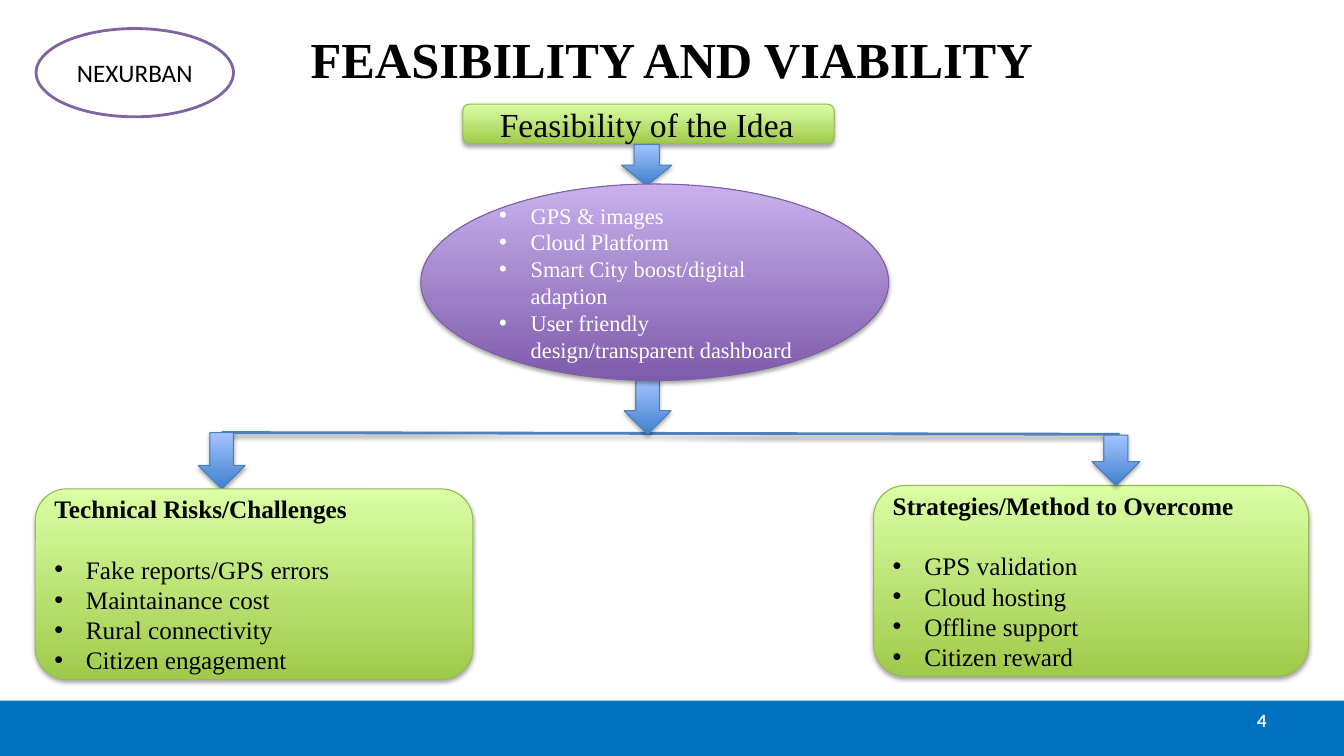
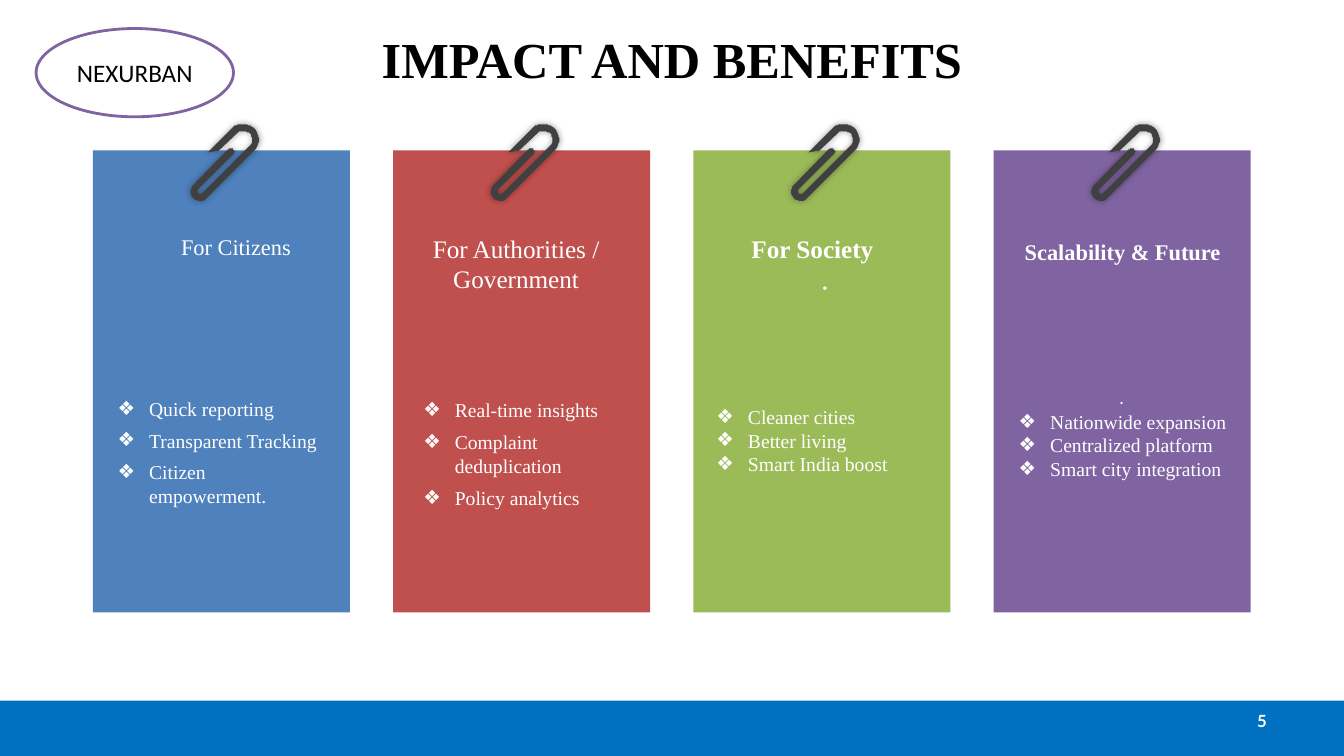
from dataclasses import dataclass

from lxml.etree import SubElement
from pptx import Presentation
from pptx.dml.color import RGBColor as RGB
from pptx.enum.shapes import MSO_CONNECTOR, MSO_SHAPE as SHAPE
from pptx.enum.text import MSO_ANCHOR as ANCHOR, PP_ALIGN as ALIGN
from pptx.oxml.ns import qn
from pptx.util import Inches, Pt

COLS, ROWS = 160, 90

BLACK = RGB(0x00, 0x00, 0x00)
WHITE = RGB(0xFF, 0xFF, 0xFF)
GRAY = RGB(0x80, 0x80, 0x80)
CLIP = RGB(0x40, 0x40, 0x40)
BAND = RGB(0x00, 0x70, 0xC0)
BLUE = RGB(0x4F, 0x81, 0xBD)
RED = RGB(0xC0, 0x50, 0x4D)
GREEN = RGB(0x9B, 0xBB, 0x59)
PURPLE = RGB(0x80, 0x64, 0xA2)

# Gradients run from bottom to top.
BLUE_GRADIENT = (RGB(0x3F, 0x80, 0xCE), RGB(0xA4, 0xC4, 0xFF))
GREEN_GRADIENT = (RGB(0xA0, 0xCA, 0x4A), RGB(0xDA, 0xFF, 0xA5))
PURPLE_GRADIENT = (RGB(0x7F, 0x5B, 0xAB), RGB(0xC8, 0xB0, 0xED))
BLUE_EDGE = RGB(0x4B, 0x7E, 0xBC)
GREEN_EDGE = RGB(0x98, 0xB9, 0x55)
PURPLE_EDGE = RGB(0x7D, 0x60, 0xA0)

# Shadows: colour, opacity in percent, blur, distance, direction.
SOFT = (BLACK, 35, 3.1, 1.8, 90)
LINE_SHADOW = (BLACK, 38, 3.1, 1.6, 90)
BAND_SHADOW = (GRAY, 35, 0, 1.8, 90)
GLOW = (BLACK, 40, 5, 0, 0)

# Paper clip outline in hundredths of an inch: a point, or a curve of three.
CLIP_START = (50, 0)
CLIP_OUTLINE = [
    [(52, 0), (54, 0), (56, 0)], [(59, 1), (62, 3), (64, 5)],
    [(65, 7), (67, 9), (67, 12)], [(69, 17), (67, 22), (63, 26)],
    [(16, 73)], [(14, 76), (11, 77), (8, 76)],
    [(4, 75), (2, 73), (0, 69)], [(0, 67), (0, 64), (2, 61)],
    [(37, 25)], [(38, 24), (39, 24), (40, 24)],
    [(41, 24), (42, 24), (42, 25)], [(44, 26), (44, 28), (42, 30)],
    [(7, 65)], [(7, 65), (7, 66), (7, 67)],
    [(7, 68), (8, 69), (9, 69)], [(10, 70), (11, 69), (11, 69)],
    [(58, 22)], [(61, 20), (62, 17), (61, 13)],
    [(60, 10), (58, 8), (55, 7)], [(51, 6), (48, 7), (46, 9)],
    [(26, 28)], [(28, 26)], [(17, 28)], [(42, 3)],
    [(44, 1), (47, 0), (50, 0)],
]


@dataclass
class Line:
    """One paragraph; spacing and indent in points."""
    text: str
    size: float
    color: RGB = BLACK
    bold: bool = False
    font: str = "Times New Roman"
    align: ALIGN = ALIGN.LEFT
    before: float = 0
    after: float = 0
    indent: float = 0
    bullet: str = ""


def bulleted(items, size, color, bullet="•", before=0):
    return [Line(item, size, color, bullet=bullet, before=before, indent=22.5)
            for item in items]


def set_all(obj, **values):
    for name, value in values.items():
        setattr(obj, name, value)


def add_shadow(effects, color, alpha, blur, distance, angle):
    shadow = SubElement(effects, qn("a:outerShdw"), blurRad=str(Pt(blur)),
                        dist=str(Pt(distance)), dir=str(angle * 60000),
                        rotWithShape="0")
    rgb = SubElement(shadow, qn("a:srgbClr"), val=str(color))
    SubElement(rgb, qn("a:alpha"), val=str(alpha * 1000))


def curve_points(start, controls, steps=6):
    """Points along a cubic curve, without its start."""
    knots = [start, *controls]
    for i in range(1, steps + 1):
        t = i / steps
        weights = ((1 - t) ** 3, 3 * t * (1 - t) ** 2,
                   3 * t * t * (1 - t), t ** 3)
        yield tuple(sum(w * k[axis] for w, k in zip(weights, knots))
                    for axis in (0, 1))


class Deck:
    def __init__(self):
        self.prs = Presentation()
        set_all(self.prs, slide_width=Inches(13.3333), slide_height=Inches(7.5))
        self.slide = None

    def x(self, cols):
        return round(self.prs.slide_width * cols / COLS)

    def y(self, rows):
        return round(self.prs.slide_height * rows / ROWS)

    def box(self, left, top, width, height):
        return self.x(left), self.y(top), self.x(width), self.y(height)

    def new_slide(self, title, number):
        self.slide = self.prs.slides.add_slide(self.prs.slide_layouts[5])
        self.shape(SHAPE.RECTANGLE, (0, 83.4, COLS, 6.6), BAND, shadow=BAND_SHADOW)
        sp = self.slide.shapes.title
        sp.left, sp.top, sp.width, sp.height = self.box(8, -0.6, 144, 15)
        self.put_lines(sp, [Line(title, 36, bold=True, align=ALIGN.CENTER)])
        self.text((114.7, 83.4, 37.3, 4.8),
                  [Line(str(number), 12, WHITE, True, "Lato", ALIGN.RIGHT)],
                  ANCHOR.MIDDLE)
        self.shape(SHAPE.OVAL, (4.3, 3.4, 23.5, 10.5), WHITE, PURPLE, 2,
                   lines=[Line("NEXURBAN", 18, font="Calibri", align=ALIGN.CENTER)])

    def put_lines(self, sp, lines, anchor=ANCHOR.MIDDLE, inset=None):
        tf = sp.text_frame
        set_all(tf, word_wrap=True, vertical_anchor=anchor)
        if inset is not None:
            set_all(tf, margin_left=inset, margin_right=inset,
                    margin_top=inset, margin_bottom=inset)
        for i, line in enumerate(lines):
            p = tf.add_paragraph() if i else tf.paragraphs[0]
            set_all(p, alignment=line.align, space_before=Pt(line.before),
                    space_after=Pt(line.after))
            if line.indent:
                pPr = p._p.get_or_add_pPr()
                pPr.set("marL", str(Pt(line.indent)))
                if line.bullet:
                    pPr.set("indent", str(-Pt(line.indent)))
                    SubElement(pPr, qn("a:buFont"), typeface="Arial")
                    SubElement(pPr, qn("a:buChar"), char=line.bullet)
            r = p.add_run()
            r.text = line.text
            set_all(r.font, name=line.font, size=Pt(line.size), bold=line.bold)
            r.font.color.rgb = line.color

    def paint(self, sp, fill, edge=None, edge_width=0.75, shadow=None):
        if isinstance(fill, tuple) and not isinstance(fill, RGB):
            sp.fill.gradient()
            sp.fill.gradient_angle = 90
            for stop, color in zip(sp.fill.gradient_stops, fill):
                stop.color.rgb = color
        else:
            sp.fill.solid()
            sp.fill.fore_color.rgb = fill
        if edge is None:
            sp.line.fill.background()
        else:
            sp.line.color.rgb = edge
            sp.line.width = Pt(edge_width)
        sp.shadow.inherit = False
        if shadow:
            add_shadow(sp.element.spPr.find(qn("a:effectLst")), *shadow)

    def shape(self, kind, at, fill, edge=None, edge_width=0.75, shadow=None,
              lines=()):
        sp = self.slide.shapes.add_shape(kind, *self.box(*at))
        self.paint(sp, fill, edge, edge_width, shadow)
        if lines:
            self.put_lines(sp, lines)

    def text(self, at, lines, anchor=ANCHOR.TOP, inset=None):
        sp = self.slide.shapes.add_textbox(*self.box(*at))
        self.put_lines(sp, lines, anchor, inset)

    def arrow(self, *at):
        self.shape(SHAPE.DOWN_ARROW, at, BLUE_GRADIENT, BLUE_EDGE, shadow=SOFT)

    def panel(self, at, lines):
        self.shape(SHAPE.ROUNDED_RECTANGLE, at, GREEN_GRADIENT, GREEN_EDGE,
                   shadow=SOFT, lines=lines)

    def rule(self, x1, y1, x2, y2):
        line = self.slide.shapes.add_connector(
            MSO_CONNECTOR.STRAIGHT, self.x(x1), self.y(y1), self.x(x2), self.y(y2))
        line.line.color.rgb = BLUE
        line.line.width = Pt(2)
        add_shadow(SubElement(line.element.spPr, qn("a:effectLst")), *LINE_SHADOW)

    def paper_clip(self, left, top):
        points, last = [], CLIP_START
        for part in CLIP_OUTLINE:
            points += part if len(part) == 1 else curve_points(last, part)
            last = part[-1]
        builder = self.slide.shapes.build_freeform(*CLIP_START, scale=Inches(0.01))
        builder.add_line_segments(points, close=True)
        sp = builder.convert_to_shape(self.x(left), self.y(top))
        self.paint(sp, CLIP, shadow=GLOW)

    def card(self, left, color):
        self.shape(SHAPE.RECTANGLE, (left, 17.9, 30.6, 55), color)
        self.paper_clip(left + 11.64, 14.8)


def feasibility(deck):
    deck.new_slide("FEASIBILITY AND VIABILITY", 4)
    deck.panel((55.1, 12.4, 44.2, 4.7),
               [Line("Feasibility of the Idea", 24, indent=18)])
    deck.arrow(74, 17.2, 6, 4.9)
    deck.rule(26.4, 51.5, 133.3, 51.7)
    deck.arrow(74.3, 45.2, 5.6, 6.5)
    deck.arrow(23.6, 51.5, 5.6, 6.7)
    deck.shape(SHAPE.FLOWCHART_CONNECTOR, (50.1, 21.9, 55.7, 23.4),
               PURPLE_GRADIENT, PURPLE_EDGE, shadow=SOFT,
               lines=bulleted(["GPS & images", "Cloud Platform",
                               "Smart City boost/digital adaption",
                               "User friendly design/transparent dashboard"],
                              16, WHITE))
    panels = [
        ((4.2, 58.2, 52.1, 22.7), "Technical Risks/Challenges",
         ["Fake reports/GPS errors", "Maintainance cost",
          "Rural connectivity", "Citizen engagement"]),
        ((104, 57.8, 51.8, 22.7), "Strategies/Method to Overcome",
         ["GPS validation", "Cloud hosting", "Offline support", "Citizen reward"]),
    ]
    for at, heading, items in panels:
        deck.panel(at, [Line(heading, 18, bold=True, after=21.6),
                        *bulleted(items, 18, BLACK)])
    deck.arrow(130, 51.8, 5.7, 6)


def impact(deck):
    deck.new_slide("IMPACT AND BENEFITS", 5)
    # Colour, text left and width, inset, heading, its format, list, its spacing.
    cards = [
        (BLUE, 14, 24.1, 0, "For Citizens", dict(size=16, indent=24.5, after=91.2),
         ["Quick reporting", "Transparent Tracking", "Citizen empowerment."], 6),
        (RED, 50.4, 22.1, 0, "For Authorities / Government",
         dict(size=18, after=68.4),
         ["Real-time insights", "Complaint deduplication", "Policy analytics"], 6),
        (GREEN, 85.3, 22.1, 0, "For Society",
         dict(size=18, bold=True, indent=4.5, after=100.8),
         ["Cleaner cities", "Better living", "Smart India boost"], 0),
        (PURPLE, 120.1, 27.1, None, "Scalability & Future",
         dict(size=16, bold=True, after=103.2),
         ["Nationwide expansion", "Centralized platform",
          "Smart city integration"], 0),
    ]
    for i, (color, left, width, inset, heading, style, items, gap) in enumerate(cards):
        deck.card(11.05 + 35.75 * i, color)
        deck.text((left, 27.8, width, 33),
                  [Line(heading, color=WHITE, align=ALIGN.CENTER, before=6, **style),
                   *bulleted(items, 14, WHITE, "❖", gap)], inset=inset)
    deck.shape(SHAPE.OVAL, (98, 34.1, 0.4, 0.4), WHITE)
    deck.text((122.5, 45.8, 22.1, 2.9),
              [Line(".", 14, WHITE, font="Cambria", align=ALIGN.CENTER, before=6)],
              inset=0)


def main():
    deck = Deck()
    feasibility(deck)
    impact(deck)
    deck.prs.save("out.pptx")


if __name__ == "__main__":
    main()
